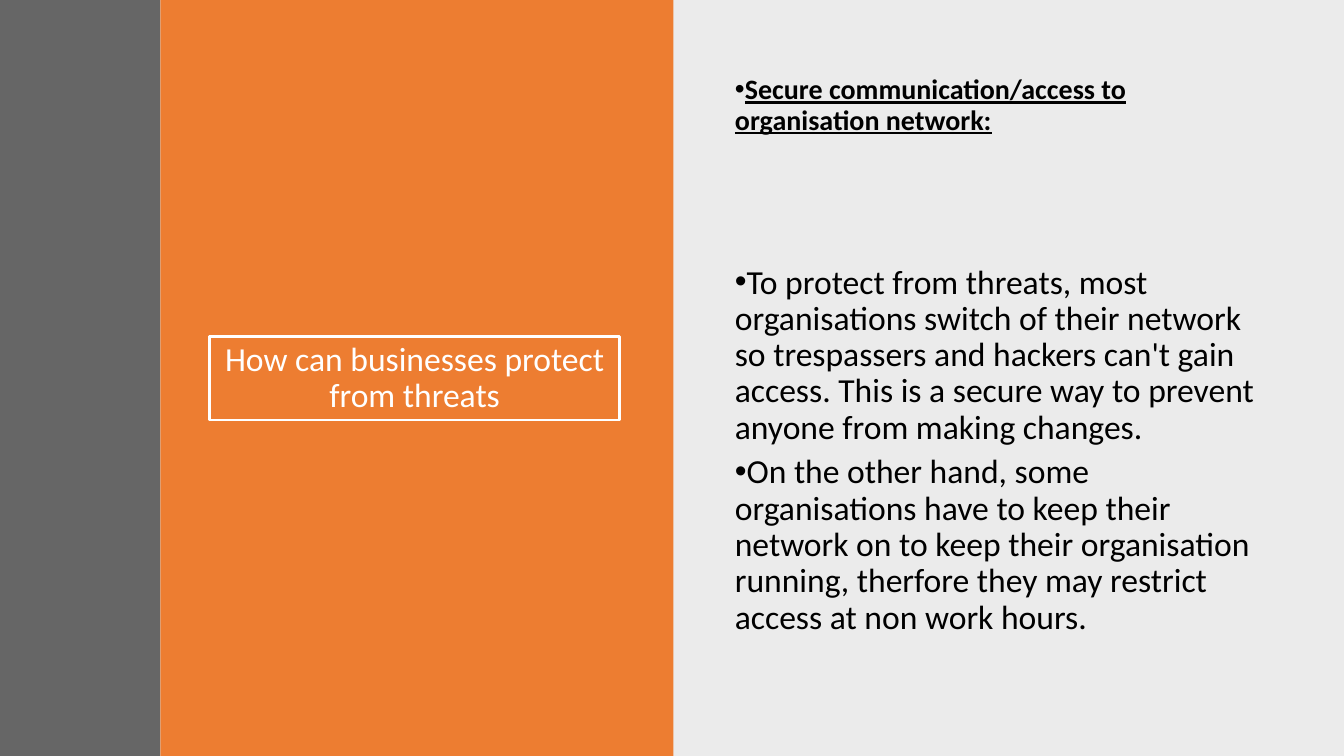
"""Build the slide on how businesses can protect themselves from threats."""
from lxml import etree
from pptx import Presentation
from pptx.dml.color import RGBColor
from pptx.enum import shapes, text
from pptx.oxml import ns
from pptx.util import Pt

WIDTH, HEIGHT = 960, 540
FONT = "Calibri"
WHITE, BLACK = "FFFFFF", "000000"

TITLE = "How can businesses protect from threats"
HEADING = "Secure communication/access to organisation network:"
POINTS = [
    "To protect from threats, most organisations switch of their network so "
    "trespassers and hackers can't gain access. This is a secure way to "
    "prevent anyone from making changes.",
    "On the other hand, some organisations have to keep their network on to "
    "keep their organisation running, therfore they may restrict access at "
    "non work hours.",
]

PANELS = [
    (480, 480, BLACK, 8),
    (114.5, 366.5, "ED7D31", 100),
    (0, 114.5, "404040", 80),
]
TITLE_BOX = (149.6, 240.4, 293.2, 59.6)
HEADING_BOX = (517.8, 50.4, 398, 200.8)
POINTS_BOX = (517.8, 185.8, 398, 303.8)


def color(code):
    return RGBColor.from_string(code)


def add_panel(page, left, width, fill, opacity):
    panel = page.shapes.add_shape(
        shapes.MSO_SHAPE.RECTANGLE, Pt(left), 0, Pt(width), Pt(HEIGHT))
    panel.shadow.inherit = False
    panel.line.fill.background()
    panel.fill.solid()
    panel.fill.fore_color.rgb = color(fill)
    if opacity < 100:
        shade = panel.element.find(".//" + ns.qn("a:srgbClr"))
        etree.SubElement(shade, ns.qn("a:alpha"), val=str(opacity * 1000))


def place(box, bounds):
    box.left, box.top, box.width, box.height = map(Pt, bounds)


def add_bullet(para):
    props = para._p.get_or_add_pPr()
    props.set("marL", "0")
    props.set("indent", str(-Pt(18)))
    etree.SubElement(props, ns.qn("a:buFont"), typeface="Arial")
    etree.SubElement(props, ns.qn("a:buChar"), char="•")


def write(box, lines, size=24, fill=BLACK, bold=False, underline=False,
          align=text.PP_ALIGN.LEFT, anchor=text.MSO_ANCHOR.TOP,
          before=0, after=0, bullet=True):
    frame = box.text_frame
    frame.word_wrap = True
    frame.auto_size = text.MSO_AUTO_SIZE.NONE
    frame.vertical_anchor = anchor
    for index, line in enumerate(lines):
        para = frame.add_paragraph() if index else frame.paragraphs[0]
        para.alignment = align
        para.line_spacing = 0.9
        para.space_before, para.space_after = Pt(before), Pt(after)
        if bullet:
            add_bullet(para)
        span = para.add_run()
        span.text = line
        font = span.font
        font.name, font.size = FONT, Pt(size)
        font.bold, font.underline = bold, underline
        font.color.rgb = color(fill)


def main():
    deck = Presentation()
    deck.slide_width, deck.slide_height = Pt(WIDTH), Pt(HEIGHT)
    page = deck.slides.add_slide(deck.slide_layouts[1])
    title, heading = page.placeholders

    for panel in PANELS:
        add_panel(page, *panel)
    for box in (title, heading):
        box.element.getparent().append(box.element)

    place(title, TITLE_BOX)
    title.line.color.rgb = color(WHITE)
    title.line.width = Pt(2)
    write(title, [TITLE], fill=WHITE, align=text.PP_ALIGN.CENTER,
          anchor=text.MSO_ANCHOR.MIDDLE, bullet=False)

    place(heading, HEADING_BOX)
    write(heading, [HEADING], size=20, bold=True, underline=True, before=10)

    points = page.shapes.add_textbox(*map(Pt, POINTS_BOX))
    write(points, POINTS, after=6)

    deck.save("out.pptx")


if __name__ == "__main__":
    main()
